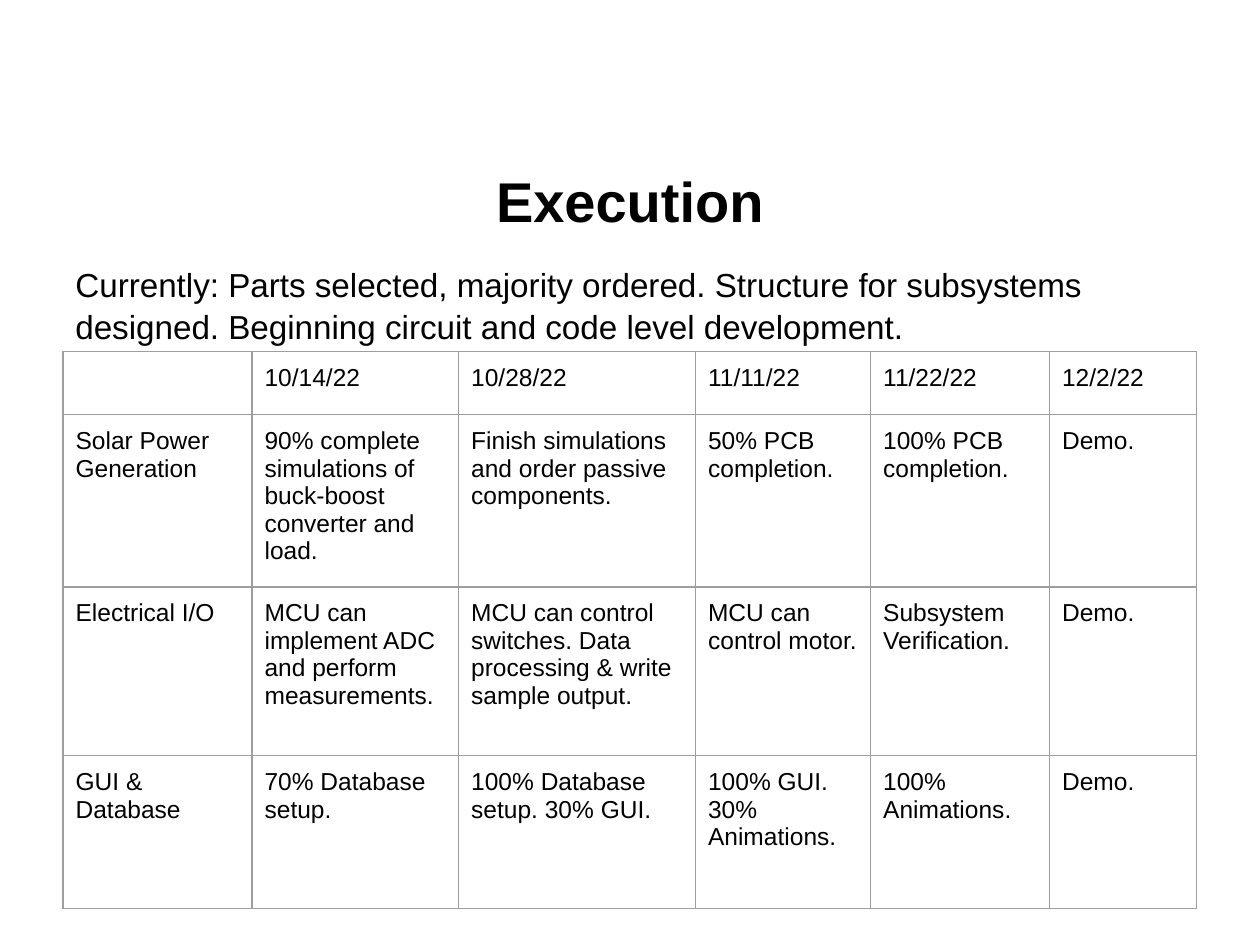
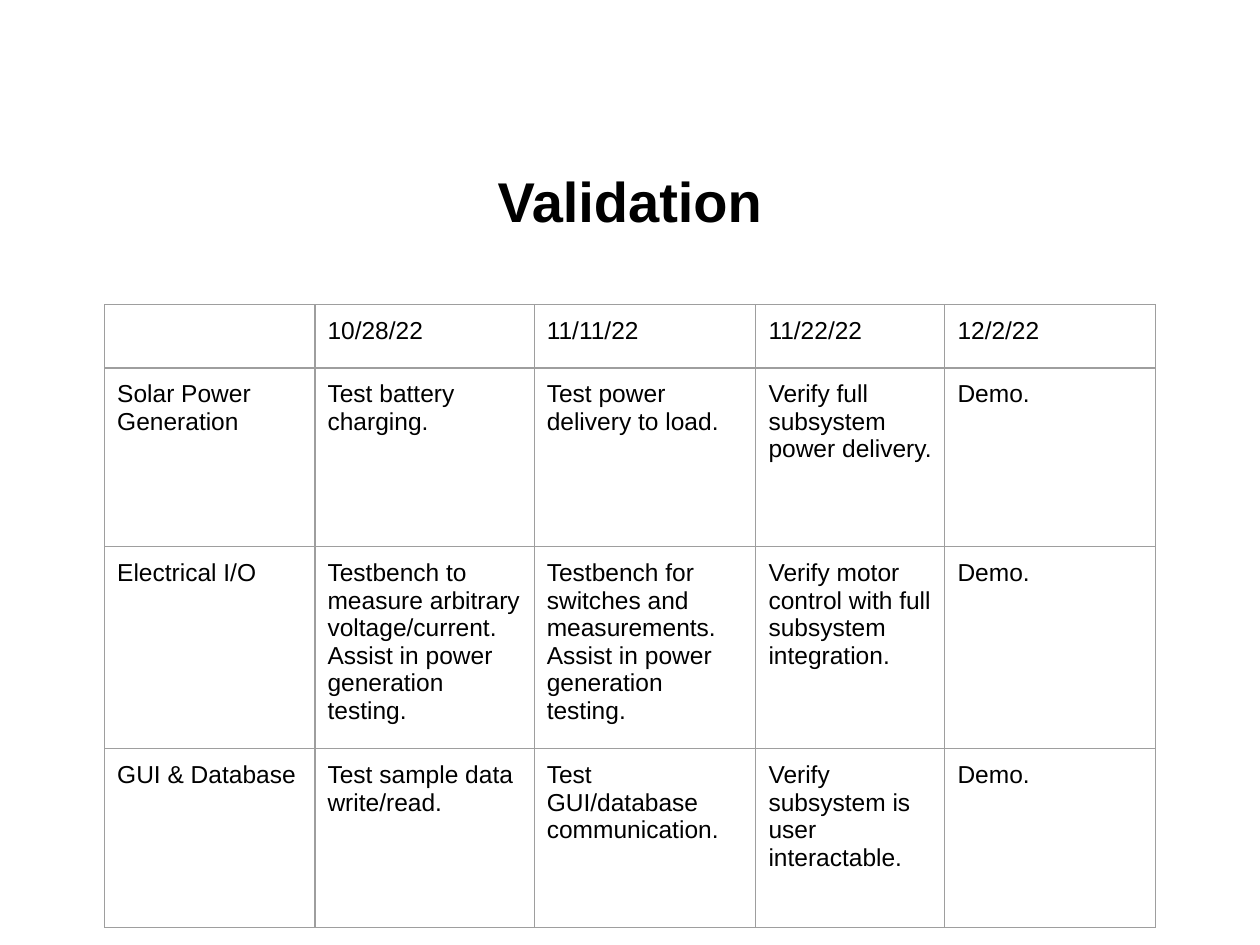
from lxml import etree
from pptx import Presentation
from pptx import util as u
from pptx.dml.color import RGBColor
from pptx.enum import text
from pptx.oxml import ns

BLACK = RGBColor(0x00, 0x00, 0x00)
WHITE = RGBColor(0xFF, 0xFF, 0xFF)
GREY = RGBColor(0x9E, 0x9E, 0x9E)
FONT = "Arial"

# Grid of the slide: square cells, 100 columns by 75 rows
COLS, ROWS = 100, 75
CELL = u.Inches(0.1)


def grid(n):
    return round(n * CELL)


class Deck:
    """Holds the shared style and the current slide."""

    def __init__(self):
        self.prs = Presentation()
        self.prs.slide_width = grid(COLS)
        self.prs.slide_height = grid(ROWS)
        self.s = None

    def slide(self, title):
        self.s = self.prs.slides.add_slide(self.prs.slide_layouts[6])
        fill = self.s.background.fill
        fill.solid()
        fill.fore_color.rgb = WHITE
        tf = self.text(title, (5, 11.5, 90, 8.8), 32, bold=True)
        tf.vertical_anchor = text.MSO_ANCHOR.MIDDLE
        tf.paragraphs[0].alignment = text.PP_ALIGN.CENTER

    def set_words(self, tf, words, size, bold=False):
        tf.text = words
        for r in tf.paragraphs[0].runs:
            r.font.name = FONT
            r.font.size = u.Pt(size)
            r.font.bold = bold
            r.font.color.rgb = BLACK

    def text(self, words, box, size, bold=False):
        tf = self.s.shapes.add_textbox(*map(grid, box)).text_frame
        tf.word_wrap = True
        self.set_words(tf, words, size, bold)
        return tf

    def border(self, cell):
        tc_pr = cell._tc.get_or_add_tcPr()
        for side in "LRTB":
            ln = etree.SubElement(tc_pr, ns.qn(f"a:ln{side}"), w=str(u.Pt(0.75)))
            fill = etree.SubElement(ln, ns.qn("a:solidFill"))
            etree.SubElement(fill, ns.qn("a:srgbClr"), val=str(GREY))

    def table(self, left, top, widths, heights, data):
        frame = self.s.shapes.add_table(
            len(heights), len(widths), grid(left), grid(top),
            grid(sum(widths)), grid(sum(heights)))
        tbl = frame.table
        tbl.first_row = tbl.horz_banding = False
        for column, width in zip(tbl.columns, widths):
            column.width = grid(width)
        for row, height, line in zip(tbl.rows, heights, data):
            row.height = grid(height)
            for cell, words in zip(row.cells, line):
                cell.margin_left = cell.margin_right = grid(1)
                cell.margin_top = cell.margin_bottom = grid(1)
                self.border(cell)
                cell.fill.background()
                if words:
                    self.set_words(cell.text_frame, words, 14)


SUBSYSTEMS = ["", "Solar Power Generation", "Electrical I/O", "GUI & Database"]


def plan(dates, *tasks):
    """Table data: a row of dates, then each subsystem's tasks up to the demo."""
    lines = [dates] + [line + ["Demo."] for line in tasks]
    return [[name] + line for name, line in zip(SUBSYSTEMS, lines)]


def main():
    deck = Deck()

    # Execution plan
    deck.slide("Execution")
    tf = deck.text(
        "Currently: Parts selected, majority ordered. Structure for subsystems "
        "designed. Beginning circuit and code level development.",
        (5, 20.3, 90, 13.7), 19)
    tf.paragraphs[0].line_spacing = 1.05
    deck.table(
        5, 27.9, [15, 16.4, 18.8, 13.9, 14.2, 11.7], [4.8, 13.5, 13.4, 12.1],
        plan(["10/14/22", "10/28/22", "11/11/22", "11/22/22", "12/2/22"],
             ["90% complete simulations of buck-boost converter and load.",
              "Finish simulations and order passive components.",
              "50% PCB completion.",
              "100% PCB completion."],
             ["MCU can implement ADC and perform measurements.",
              "MCU can control switches. Data processing & write sample output.",
              "MCU can control motor.",
              "Subsystem Verification."],
             ["70% Database setup.",
              "100% Database setup. 30% GUI.",
              "100% GUI. 30% Animations.",
              "100% Animations."]))

    # Validation plan
    deck.slide("Validation")
    deck.table(
        8.3, 24.2, [16.7, 17.4, 17.6, 15, 16.7], [5, 14.2, 15.1, 14.2],
        plan(["10/28/22", "11/11/22", "11/22/22", "12/2/22"],
             ["Test battery charging.",
              "Test power delivery to load.",
              "Verify full subsystem power delivery."],
             ["Testbench to measure arbitrary voltage/current. "
              "Assist in power generation testing.",
              "Testbench for switches and measurements. "
              "Assist in power generation testing.",
              "Verify motor control with full subsystem integration."],
             ["Test sample data write/read.",
              "Test GUI/database communication.",
              "Verify subsystem is user interactable."]))

    deck.prs.save("out.pptx")


if __name__ == "__main__":
    main()
